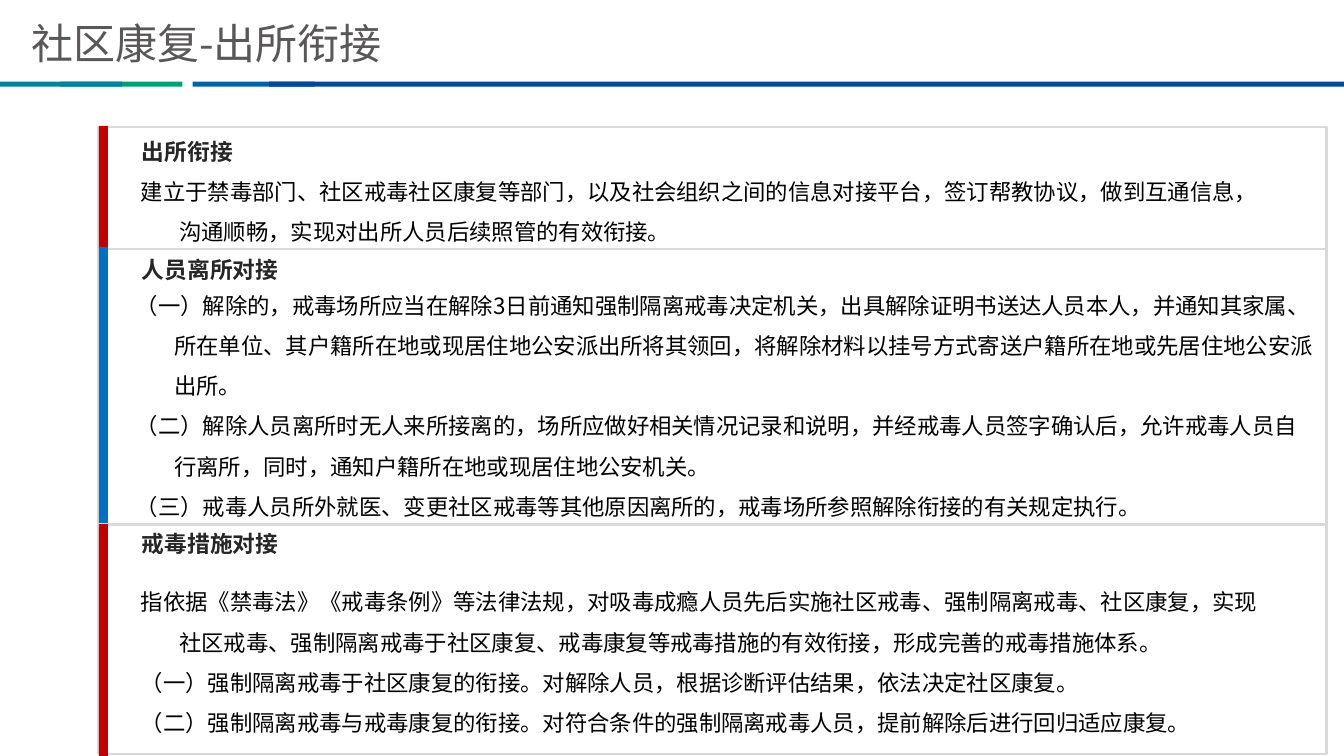
"""Builds the slide on handover after release in community rehabilitation."""
from pptx import Presentation, util as u
from pptx.dml.color import RGBColor
from pptx.enum import shapes, text
from pptx.oxml.ns import qn
from lxml import etree

WHITE = RGBColor(0xFF, 0xFF, 0xFF)
BLACK = RGBColor(0x00, 0x00, 0x00)
TITLE_GREY = RGBColor(0x59, 0x57, 0x57)
HEADING_GREY = RGBColor(0x26, 0x26, 0x26)
BORDER_GREY = RGBColor(0xD9, 0xD9, 0xD9)
RED = RGBColor(0xC0, 0x00, 0x00)
BLUE = RGBColor(0x00, 0x70, 0xC0)
STRIPES = [
    (60, 121, RGBColor(0x00, 0xA0, 0x73)),
    (191, 121, RGBColor(0x00, 0x62, 0xAD)),
    (267, 1066, RGBColor(0x00, 0x47, 0x9D)),
    (0, 121, RGBColor(0x00, 0x81, 0x9C)),
]
SECTIONS = [
    ("出所衔接", RED, (126, 122), (125, 123), 130, (130, 167, 1140, 72), [
        "建立于禁毒部门、社区戒毒社区康复等部门，以及社会组织之间的信息对接平台，签订帮教协议，做到互通信息，沟通顺畅，实现对出所人员后续照管的有效衔接。",
    ]),
    ("人员离所对接", BLUE, (247, 273), (245, 276), 247, (125, 272, 1192, 248), [
        "（一）解除的，戒毒场所应当在解除3日前通知强制隔离戒毒决定机关，出具解除证明书送达人员本人，并通知其家属、所在单位、其户籍所在地或现居住地公安派出所将其领回，将解除材料以挂号方式寄送户籍所在地或先居住地公安派出所。",
        "（二）解除人员离所时无人来所接离的，场所应做好相关情况记录和说明，并经戒毒人员签字确认后，允许戒毒人员自行离所，同时，通知户籍所在地或现居住地公安机关。",
        "（三）戒毒人员所外就医、变更社区戒毒等其他原因离所的，戒毒场所参照解除衔接的有关规定执行。",
    ]),
    ("戒毒措施对接", RED, (520, 228), (520, 230), 519, (130, 552, 1145, 197), [
        "指依据《禁毒法》《戒毒条例》等法律法规，对吸毒成瘾人员先后实施社区戒毒、强制隔离戒毒、社区康复，实现社区戒毒、强制隔离戒毒于社区康复、戒毒康复等戒毒措施的有效衔接，形成完善的戒毒措施体系。",
        "（一）强制隔离戒毒于社区康复的衔接。对解除人员，根据诊断评估结果，依法决定社区康复。",
        "（二）强制隔离戒毒与戒毒康复的衔接。对符合条件的强制隔离戒毒人员，提前解除后进行回归适应康复。",
    ]),
]


class Deck:
    PX = 9144
    CJK = "Noto Sans CJK SC"

    def __init__(self, width, height):
        self.prs = Presentation()
        self.prs.slide_width, self.prs.slide_height = self.emu(width, height)
        self.s = self.prs.slides.add_slide(self.prs.slide_layouts[5])

    def emu(self, *lengths):
        return [u.Emu(n * self.PX) for n in lengths]

    def style(self, p, size, color, latin=CJK, bold=False):
        for r in p.runs:
            r.font.size, r.font.name, r.font.bold = u.Pt(size), latin, bold
            r.font.color.rgb = color
            ea = etree.SubElement(r.font._element, qn("a:ea"))
            ea.set("typeface", self.CJK)

    def title(self, words, *box):
        sp = self.s.shapes.title
        sp.left, sp.top, sp.width, sp.height = self.emu(*box)
        tf = sp.text_frame
        tf.text = words
        tf.auto_size = text.MSO_AUTO_SIZE.NONE
        tf.vertical_anchor = text.MSO_ANCHOR.MIDDLE
        tf.paragraphs[0].alignment = text.PP_ALIGN.LEFT
        self.style(tf.paragraphs[0], 30, TITLE_GREY)

    def rect(self, *box, fill, line=None):
        sp = self.s.shapes.add_shape(shapes.MSO_SHAPE.RECTANGLE, *self.emu(*box))
        sp.shadow.inherit = False
        sp.fill.solid()
        sp.fill.fore_color.rgb = fill
        if line is None:
            sp.line.fill.background()
        else:
            sp.line.color.rgb = line
            sp.line.width = u.Pt(2)

    def textbox(self, words, *box):
        tf = self.s.shapes.add_textbox(*self.emu(*box)).text_frame
        tf.word_wrap = True
        tf.vertical_anchor = text.MSO_ANCHOR.MIDDLE
        tf.text = "\n".join(words)
        return tf.paragraphs

    def heading(self, words, *box):
        for p in self.textbox([words], *box):
            self.style(p, 16.2, HEADING_GREY, "Arial", True)

    def body(self, words, *box):
        hang = 38 * self.PX
        for p in self.textbox(words, *box):
            p.line_spacing = 1.5
            pPr = p._p.get_or_add_pPr()
            pPr.set("marL", str(hang))
            pPr.set("indent", str(-hang))
            self.style(p, 16, BLACK)


def main():
    deck = Deck(1333, 750)
    for left, width, color in STRIPES:
        deck.rect(left, 81, width, 5, fill=color)
    deck.title("社区康复-出所衔接", 21, 15, 598, 54)
    for name, color, card, bar, heading_top, body_box, paragraphs in SECTIONS:
        deck.rect(98, card[0], 1218, card[1], fill=WHITE, line=BORDER_GREY)
        deck.rect(98, bar[0], 9, bar[1], fill=color)
        deck.heading(name, 131, heading_top, 865, 40)
        deck.body(paragraphs, *body_box)
    deck.prs.save("out.pptx")


if __name__ == "__main__":
    main()
